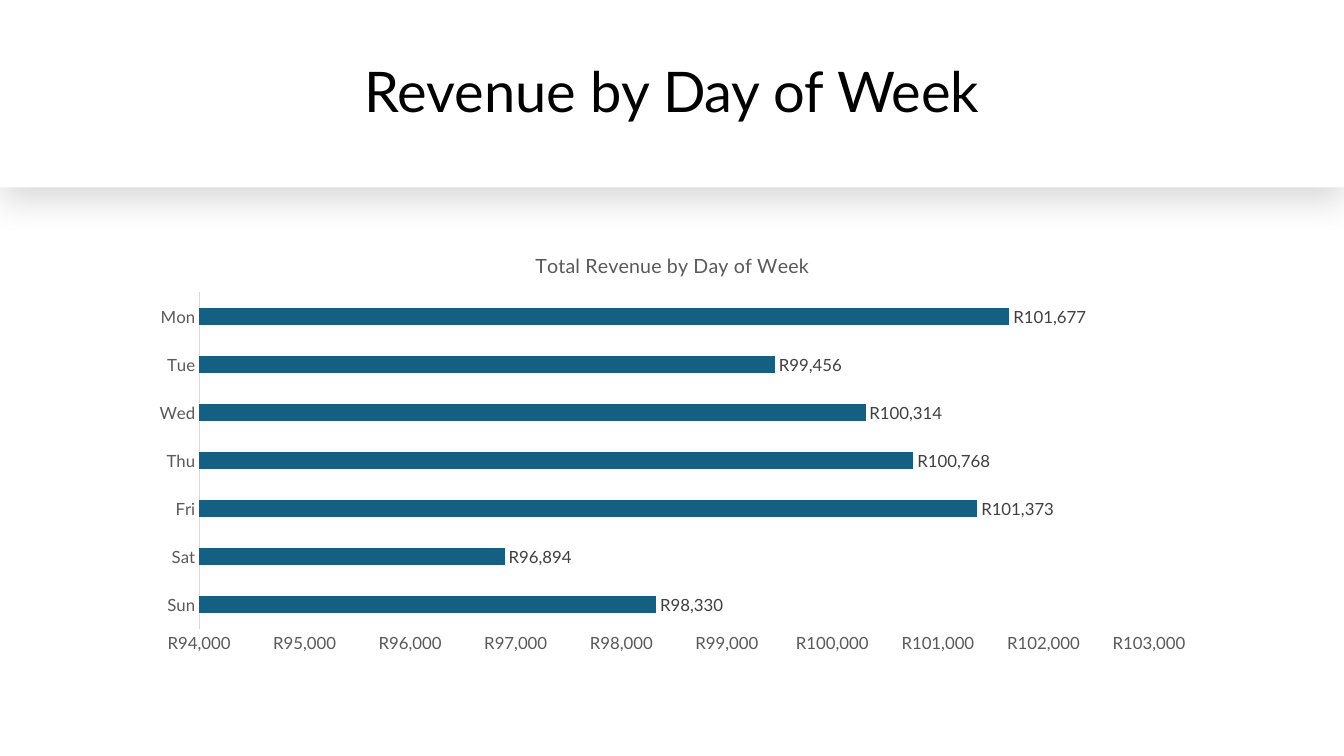
from dataclasses import dataclass
from typing import Any

from lxml.etree import SubElement
from pptx import Presentation
from pptx.chart.data import CategoryChartData
from pptx.dml.color import RGBColor
from pptx.enum.chart import XL_CHART_TYPE, XL_LABEL_POSITION, XL_TICK_MARK
from pptx.enum.shapes import MSO_SHAPE
from pptx.enum.text import MSO_ANCHOR, MSO_AUTO_SIZE, PP_ALIGN
from pptx.oxml.ns import qn
from pptx.util import Inches, Pt

COLORS = {
    "white": "FFFFFF",
    "black": "000000",
    "bar": "156082",
    "axis_text": "595959",
    "label_text": "404040",
    "axis_line": "D9D9D9",
}
FONT = "Lato"
RAND = "[$R-1C09]#,##0;[Red][$R-1C09]#,##0"


@dataclass
class Box:
    left: float
    top: float
    width: float
    height: float

    def lengths(self) -> list[int]:
        return [Inches(v) for v in (self.left, self.top, self.width, self.height)]


@dataclass
class DayRevenue:
    day: str
    revenue: int


BAND = Box(0, 0, 13.33, 1.86)
TITLE = Box(1.25, 0.3, 10.83, 1.27)
CHART = Box(1.37, 2.32, 10.6, 4.24)
DAYS = [
    DayRevenue("Mon", 101677),
    DayRevenue("Tue", 99456),
    DayRevenue("Wed", 100314),
    DayRevenue("Thu", 100768),
    DayRevenue("Fri", 101373),
    DayRevenue("Sat", 96894),
    DayRevenue("Sun", 98330),
]


def rgb(name: str) -> RGBColor:
    return RGBColor.from_string(COLORS[name])


def set_all(target: Any, values: dict[str, Any]) -> None:
    for name, value in values.items():
        setattr(target, name, value)


def style_font(font: Any, size: float, color: str) -> None:
    set_all(font, {"name": FONT, "size": Pt(size), "bold": False})
    font.color.rgb = rgb(color)


def add_band(s: Any) -> Any:
    sp = s.shapes.add_shape(MSO_SHAPE.RECTANGLE, *BAND.lengths())
    sp.fill.solid()
    sp.fill.fore_color.rgb = rgb("white")
    sp.line.fill.background()
    sp.shadow.inherit = False
    effects = sp.element.spPr.find(qn("a:effectLst"))
    shadow = SubElement(effects, qn("a:outerShdw"), blurRad=str(Pt(24)),
                        dist=str(Pt(9)), dir=str(91 * 60000))
    color = SubElement(shadow, qn("a:srgbClr"), val=COLORS["black"])
    SubElement(color, qn("a:alpha"), val="14000")
    return sp


def add_title(s: Any, text: str) -> None:
    sp = s.shapes.title
    set_all(sp, dict(zip(("left", "top", "width", "height"), TITLE.lengths())))
    tf = sp.text_frame
    set_all(tf, {"word_wrap": True, "vertical_anchor": MSO_ANCHOR.MIDDLE,
                 "auto_size": MSO_AUTO_SIZE.NONE})
    p = tf.paragraphs[0]
    set_all(p, {"alignment": PP_ALIGN.CENTER, "line_spacing": 0.9})
    r = p.add_run()
    r.text = text
    style_font(r.font, 40, "black")


def add_revenue_chart(s: Any, text: str) -> None:
    data = CategoryChartData()
    bars = DAYS[::-1]
    data.categories = [bar.day for bar in bars]
    data.add_series("Series 1", [bar.revenue for bar in bars])
    chart = s.shapes.add_chart(XL_CHART_TYPE.BAR_CLUSTERED, *CHART.lengths(), data).chart
    style_font(chart.font, 12, "black")
    chart.has_legend = False

    r = chart.chart_title.text_frame.paragraphs[0].add_run()
    r.text = text
    style_font(r.font, 14, "axis_text")
    chart.chart_title.include_in_layout = False

    for axis in (chart.category_axis, chart.value_axis):
        set_all(axis, {"major_tick_mark": XL_TICK_MARK.NONE,
                       "minor_tick_mark": XL_TICK_MARK.NONE,
                       "has_major_gridlines": False})
        style_font(axis.tick_labels.font, 12, "axis_text")
    line = chart.category_axis.format.line
    line.color.rgb = rgb("axis_line")
    line.width = Pt(0.75)
    axis = chart.value_axis
    axis.format.line.fill.background()
    set_all(axis, {"minimum_scale": 94000, "maximum_scale": 103000, "major_unit": 1000})
    number_format = {"number_format": RAND, "number_format_is_linked": False}
    set_all(axis.tick_labels, number_format)

    plot = chart.plots[0]
    set_all(plot, {"gap_width": 182, "vary_by_categories": False})
    series = plot.series[0]
    series.format.fill.solid()
    series.format.fill.fore_color.rgb = rgb("bar")
    labels = series.data_labels
    set_all(labels, {"show_value": True, "position": XL_LABEL_POSITION.OUTSIDE_END,
                     **number_format})
    style_font(labels.font, 12, "label_text")


def main() -> None:
    prs = Presentation()
    set_all(prs, {"slide_width": Inches(13.33), "slide_height": Inches(7.5)})
    s = prs.slides.add_slide(prs.slide_layouts[5])
    band = add_band(s)
    s.shapes.title.element.addprevious(band.element)
    add_title(s, "Revenue by Day of Week")
    add_revenue_chart(s, "Total Revenue by Day of Week")
    prs.save("out.pptx")


if __name__ == "__main__":
    main()
